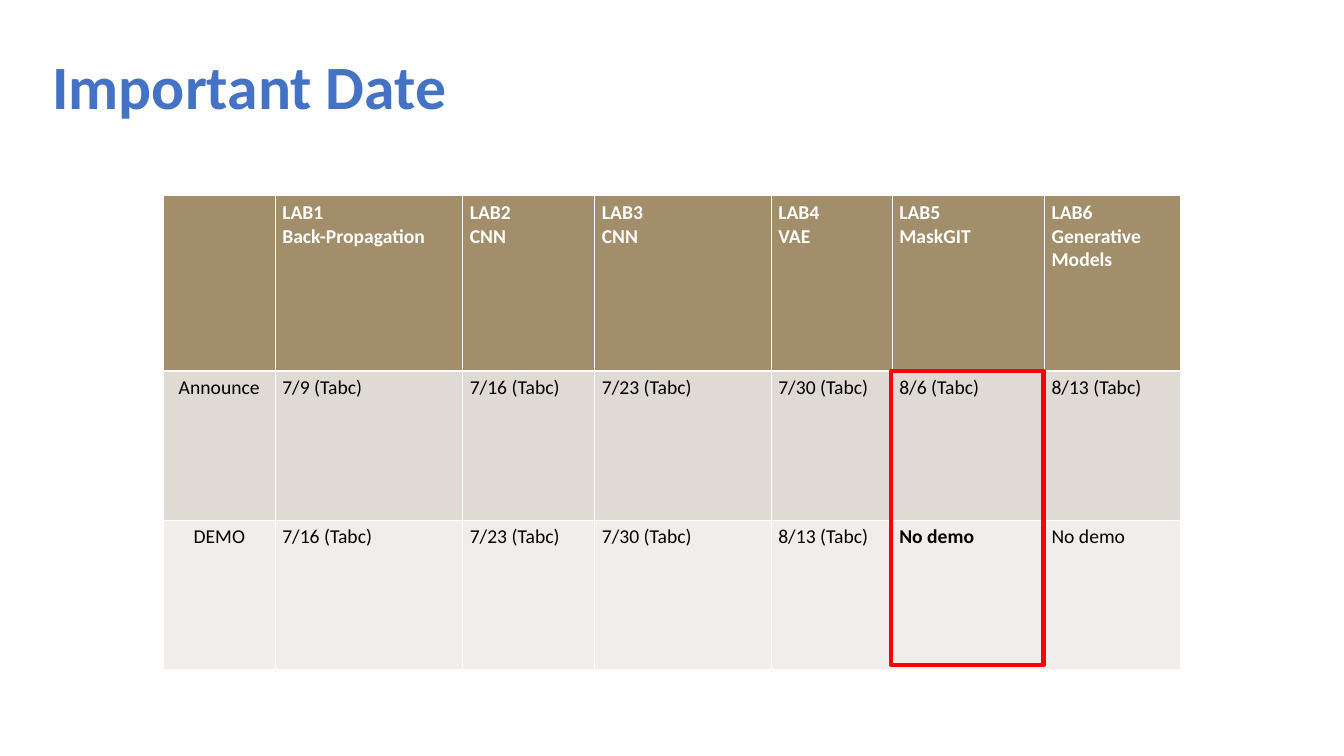
"""Build the lab schedule slide with its announcement and demo dates."""
from lxml.etree import SubElement
from pptx import Presentation
from pptx.dml.color import RGBColor
from pptx.enum.shapes import MSO_SHAPE
from pptx.enum.text import MSO_ANCHOR, PP_ALIGN
from pptx.oxml.ns import qn
from pptx.util import Pt

EMU_PER_PX = 9144
TITLE_ONLY = 5
BLUE = RGBColor(0x44, 0x72, 0xC4)
BROWN = RGBColor(0xA2, 0x8E, 0x6A)
SAND = RGBColor(0xDF, 0xDA, 0xD3)
CREAM = RGBColor(0xF0, 0xED, 0xEA)
WHITE = RGBColor(0xFF, 0xFF, 0xFF)
BLACK = RGBColor(0x00, 0x00, 0x00)
RED = RGBColor(0xFF, 0x00, 0x00)

COLUMN_WIDTHS = [111, 186, 131, 175, 120, 151, 135]
ROW_HEIGHTS = [174, 148, 148]
ROW_STYLES = [(BROWN, WHITE, True), (SAND, BLACK, False), (CREAM, BLACK, False)]
BOLD_CELLS = {(2, 5)}
SCHEDULE = [
    ["", "LAB1\nBack-Propagation", "LAB2\nCNN", "LAB3\nCNN", "LAB4\nVAE",
     "LAB5\nMaskGIT", "LAB6\nGenerative\nModels"],
    ["Announce", "7/9 (Tabc)", "7/16 (Tabc)", "7/23 (Tabc)", "7/30 (Tabc)",
     "8/6 (Tabc)", "8/13 (Tabc)"],
    ["DEMO", "7/16 (Tabc)", "7/23 (Tabc)", "7/30 (Tabc)", "8/13 (Tabc)",
     "No demo", "No demo"],
]


def px(length):
    """Turn pixels into EMU."""
    return length * EMU_PER_PX


def set_values(target, values):
    """Set every named attribute on the target."""
    for name, value in values.items():
        setattr(target, name, value)


class SlideBuilder:
    """Hold the text style and the current slide."""

    def __init__(self, slide, font_name):
        """Keep the slide and its font."""
        self.slide = slide
        self.font_name = font_name

    def format_text(self, frame, size, color, bold, paragraph_values):
        """Apply one style to all text in a frame."""
        for paragraph in frame.paragraphs:
            set_values(paragraph, paragraph_values)
            for run in paragraph.runs:
                set_values(run.font, {"name": self.font_name, "size": Pt(size), "bold": bold})
                run.font.color.rgb = color

    def add_title(self, text, left, top, width, height):
        """Place and format the title placeholder."""
        title = self.slide.shapes.title
        set_values(title, {"left": px(left), "top": px(top),
                           "width": px(width), "height": px(height)})
        title.text_frame.text = text
        title.text_frame.vertical_anchor = MSO_ANCHOR.MIDDLE
        self.format_text(title.text_frame, 44, BLUE, True,
                         {"alignment": PP_ALIGN.LEFT, "line_spacing": 0.9})

    def add_borders(self, cell, color, width):
        """Draw a solid line on each side of a cell."""
        properties = cell._tc.get_or_add_tcPr()
        for side in ("a:lnL", "a:lnR", "a:lnT", "a:lnB"):
            line = SubElement(properties, qn(side), w=str(Pt(width)))
            fill = SubElement(line, qn("a:solidFill"))
            SubElement(fill, qn("a:srgbClr"), val=str(color))

    def add_schedule(self, left, top):
        """Add the table of labs and dates."""
        table = self.slide.shapes.add_table(
            len(ROW_HEIGHTS), len(COLUMN_WIDTHS), px(left), px(top),
            px(sum(COLUMN_WIDTHS)), px(sum(ROW_HEIGHTS))).table
        set_values(table, {"first_row": False, "horz_banding": False})
        for column, width in zip(table.columns, COLUMN_WIDTHS):
            column.width = px(width)
        for row_index, (row, height) in enumerate(zip(table.rows, ROW_HEIGHTS)):
            row.height = px(height)
            fill, color, bold = ROW_STYLES[row_index]
            for column_index, cell in enumerate(row.cells):
                self.add_borders(cell, WHITE, 0.96)
                cell.fill.solid()
                cell.fill.fore_color.rgb = fill
                set_values(cell, {"text": SCHEDULE[row_index][column_index],
                                  "margin_left": px(7), "margin_right": px(7),
                                  "margin_top": px(5), "margin_bottom": px(5)})
                alignment = PP_ALIGN.LEFT if column_index else PP_ALIGN.CENTER
                self.format_text(cell.text_frame, 14, color,
                                 bold or (row_index, column_index) in BOLD_CELLS,
                                 {"alignment": alignment})

    def add_highlight(self, left, top, width, height):
        """Outline an area with a red frame."""
        frame = self.slide.shapes.add_shape(
            MSO_SHAPE.RECTANGLE, px(left), px(top), px(width), px(height))
        frame.shadow.inherit = False
        frame.fill.background()
        frame.line.color.rgb = RED
        frame.line.width = Pt(3)


def main():
    """Create and save the presentation."""
    presentation = Presentation()
    set_values(presentation, {"slide_width": px(1333), "slide_height": px(750)})
    slide = presentation.slides.add_slide(presentation.slide_layouts[TITLE_ONLY])
    builder = SlideBuilder(slide, "Calibri")
    builder.add_title("Important Date", 42, 16, 1150, 145)
    builder.add_schedule(162, 194)
    builder.add_highlight(884, 368, 151, 292)
    presentation.save("out.pptx")


if __name__ == "__main__":
    main()
